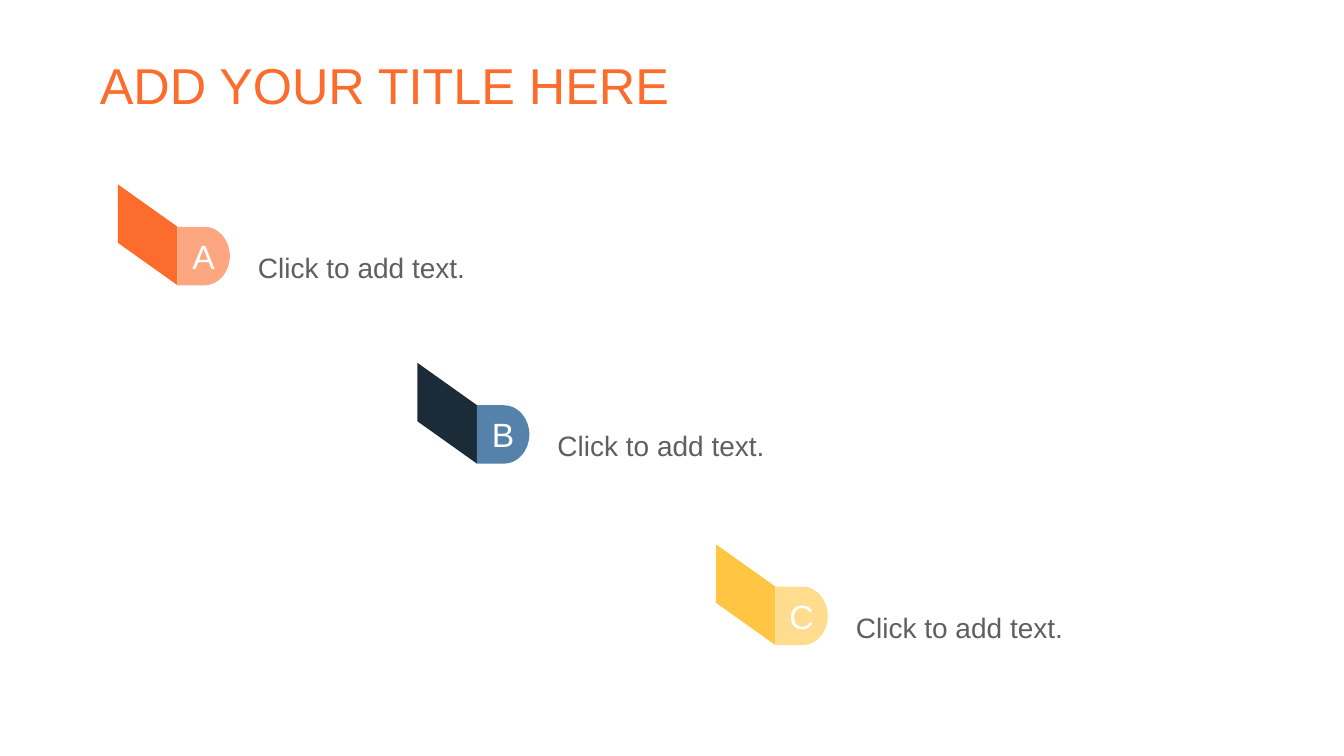
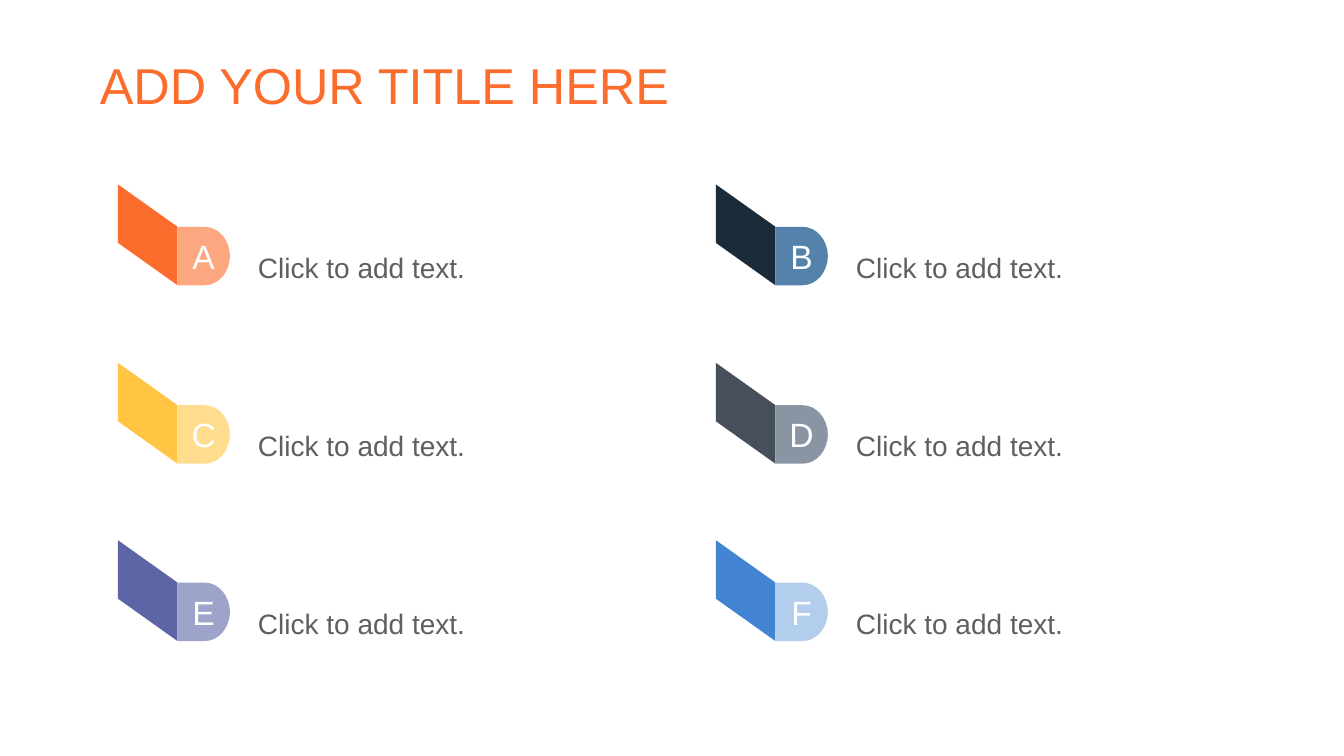
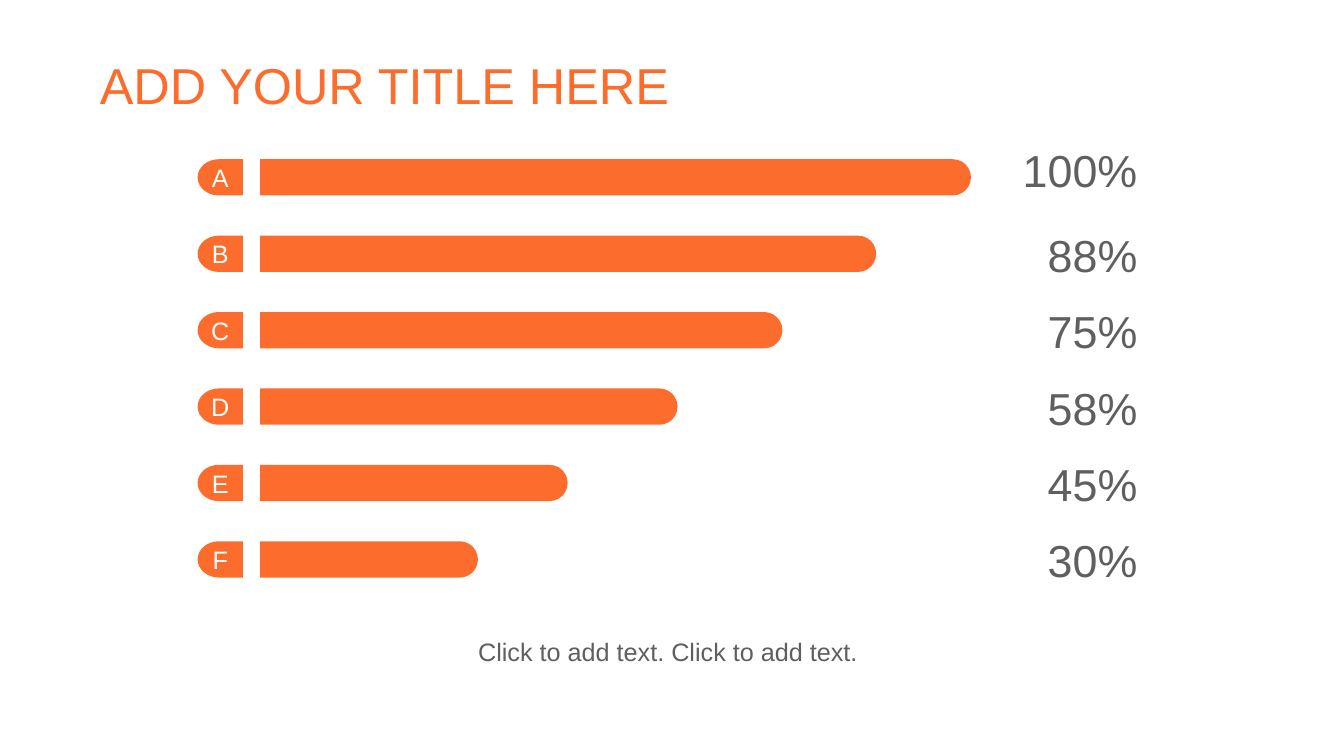
from dataclasses import dataclass

from lxml.etree import SubElement
from pptx import Presentation
from pptx.dml.color import RGBColor
from pptx.enum.shapes import MSO_SHAPE
from pptx.enum.text import MSO_ANCHOR, PP_ALIGN
from pptx.oxml.ns import qn
from pptx.shapes.autoshape import Shape
from pptx.slide import Slide
from pptx.util import Inches, Pt

FONT = "Arial"
ORANGE = "FC6C2C"
GREY = "5F5F5F"
WHITE = "FEFFFF"
PROMPT = "Click to add text."
ROUND = 0.55

Point = tuple[float, float]


@dataclass(frozen=True)
class Flag:
    mark: str
    dark: str
    light: str


@dataclass(frozen=True)
class Bar:
    mark: str
    length: float
    rate: str
    rise: float = 0.03
    high: float = 0.43


FLAGS = [
    Flag("A", ORANGE, "FDA780"),
    Flag("B", "1C2B38", "5582AA"),
    Flag("C", "FFC543", "FFDC8E"),
    Flag("D", "464F5A", "8995A3"),
    Flag("E", "5E65A6", "9EA3CA"),
    Flag("F", "4283D2", "B3CDED"),
]
STEPS = [(1.17, 1.83), (4.14, 3.6), (7.1, 5.4)]
GRID = [(x, y) for y in (1.83, 3.6, 5.36) for x in (1.17, 7.1)]

BARS = [
    Bar("A", 7.05, "100%", 0.19, 0.59),
    Bar("B", 6.11, "88%"),
    Bar("C", 5.18, "75%"),
    Bar("D", 4.14, "58%"),
    Bar("E", 3.05, "45%"),
    Bar("F", 2.16, "30%"),
]
THICK = 0.36


def tint(code: str) -> RGBColor:
    return RGBColor.from_string(code)


def paint(shape: Shape, code: str) -> None:
    shape.shadow.inherit = False
    shape.fill.solid()
    shape.fill.fore_color.rgb = tint(code)
    shape.line.fill.background()


def write(shape: Shape, text: str, size: int, code: str,
          align: PP_ALIGN = PP_ALIGN.LEFT, space: float = 1.0,
          anchor: MSO_ANCHOR = MSO_ANCHOR.MIDDLE) -> None:
    frame = shape.text_frame
    frame.word_wrap = True
    frame.vertical_anchor = anchor
    para = frame.paragraphs[0]
    para.alignment = align
    para.line_spacing = space
    run = para.add_run()
    run.text = text
    run.font.name = FONT
    run.font.size = Pt(size)
    run.font.color.rgb = tint(code)


def add_box(slide: Slide, x: float, y: float, wide: float, high: float) -> Shape:
    return slide.shapes.add_textbox(Inches(x), Inches(y), Inches(wide), Inches(high))


def add_outline(slide: Slide, points: list[Point], code: str) -> Shape:
    first, *rest = [(Inches(x), Inches(y)) for x, y in points]
    pen = slide.shapes.build_freeform(*first)
    pen.add_line_segments(rest, close=True)
    shape = pen.convert_to_shape()
    paint(shape, code)
    return shape


def round_end(shape: Shape) -> None:
    lines = list(shape.element.iter(qn("a:lnTo")))[:3]
    (flat, top), (tip, mid), (_, foot) = [
        (int(line[0].get("x")), int(line[0].get("y"))) for line in lines]
    pull = flat + round((tip - flat) * ROUND)
    rise = mid - round((mid - top) * ROUND)
    fall = mid + round((foot - mid) * ROUND)
    bends = [[(pull, top), (tip, rise), (tip, mid)],
             [(tip, fall), (pull, foot), (flat, foot)]]
    for line, bend in zip(lines[1:], bends):
        line.tag = qn("a:cubicBezTo")
        line.remove(line[0])
        for x, y in bend:
            SubElement(line, qn("a:pt"), x=str(x), y=str(y))


def add_tab(slide: Slide, edge: float, y: float, flat: float, bow: float,
            high: float, code: str) -> Shape:
    turn = edge + flat
    foot = y + high
    tab = add_outline(slide, [(edge, y), (turn, y), (turn + bow, y + high / 2),
                              (turn, foot), (edge, foot)], code)
    round_end(tab)
    return tab


def add_flag(slide: Slide, flag: Flag, x: float, y: float) -> None:
    wide, drop, high = 0.59, 0.42, 0.58
    fold = x + wide
    add_outline(slide, [(x, y), (fold, y + drop), (fold, y + drop + high), (x, y + high)],
                flag.dark)
    tab = add_tab(slide, fold, y + drop, 0.27, 0.25, high, flag.light)
    write(tab, flag.mark, 24, WHITE, PP_ALIGN.CENTER)
    write(add_box(slide, x + 1.29, y + 0.26, 3.77, 0.95), PROMPT, 20, GREY, space=1.5)


def add_bar(slide: Slide, bar: Bar, y: float) -> None:
    mid = 2.58 + bar.length / 2
    strip = slide.shapes.add_shape(
        MSO_SHAPE.ROUND_2_SAME_RECTANGLE,
        Inches(mid - THICK / 2), Inches(y + THICK / 2 - bar.length / 2),
        Inches(THICK), Inches(bar.length))
    strip.rotation = 90
    strip.adjustments[0] = 0.5
    strip.adjustments[1] = 0
    paint(strip, ORANGE)
    tab = add_tab(slide, 2.41, y, -0.24, -0.21, THICK, ORANGE)
    write(tab, bar.mark, 18, WHITE, PP_ALIGN.CENTER)
    box = add_box(slide, 9.97, y - bar.rise, 1.41, bar.high)
    write(box, bar.rate, 32, GREY, PP_ALIGN.RIGHT)


def add_page(deck: Presentation) -> Slide:
    slide = deck.slides.add_slide(deck.slide_layouts[6])
    box = add_box(slide, 0.92, 0.41, 11.5, 0.94)
    frame = box.text_frame
    frame.margin_left = frame.margin_right = Inches(0.07)
    frame.margin_top = frame.margin_bottom = Inches(0.04)
    write(box, "ADD YOUR TITLE HERE", 36, ORANGE, space=0.9)
    return slide


def main() -> None:
    deck = Presentation()
    deck.slide_width = Inches(13.33)
    deck.slide_height = Inches(7.5)
    for spots in (STEPS, GRID):
        slide = add_page(deck)
        for flag, (x, y) in zip(FLAGS, spots):
            add_flag(slide, flag, x, y)
    slide = add_page(deck)
    for row, bar in enumerate(BARS):
        add_bar(slide, bar, 1.58 + 3.79 * row / 5)
    write(add_box(slide, 1.23, 6.17, 10.86, 0.93), f"{PROMPT} {PROMPT} ", 18, GREY,
          PP_ALIGN.CENTER, 1.3, MSO_ANCHOR.TOP)
    deck.save("out.pptx")


if __name__ == "__main__":
    main()
